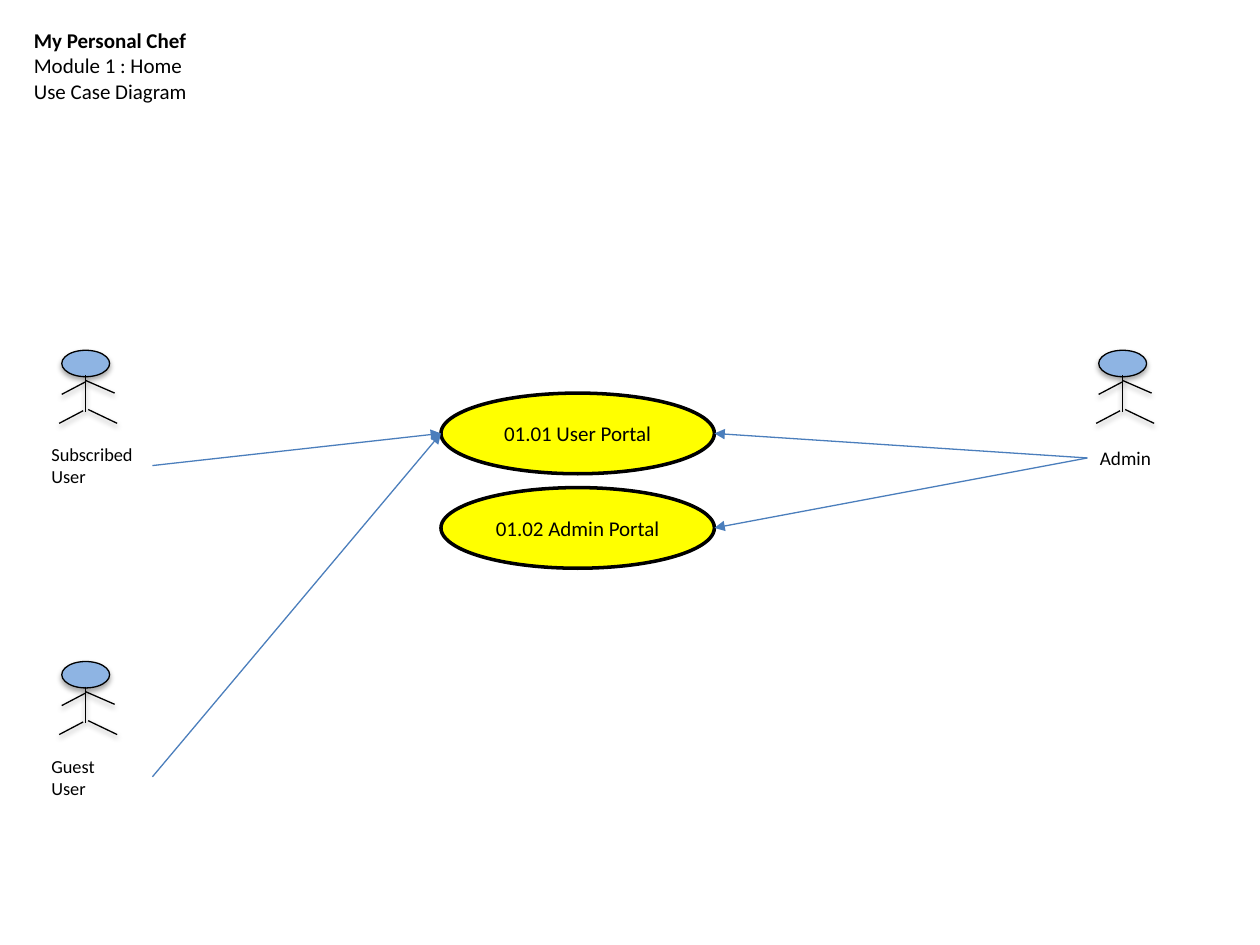
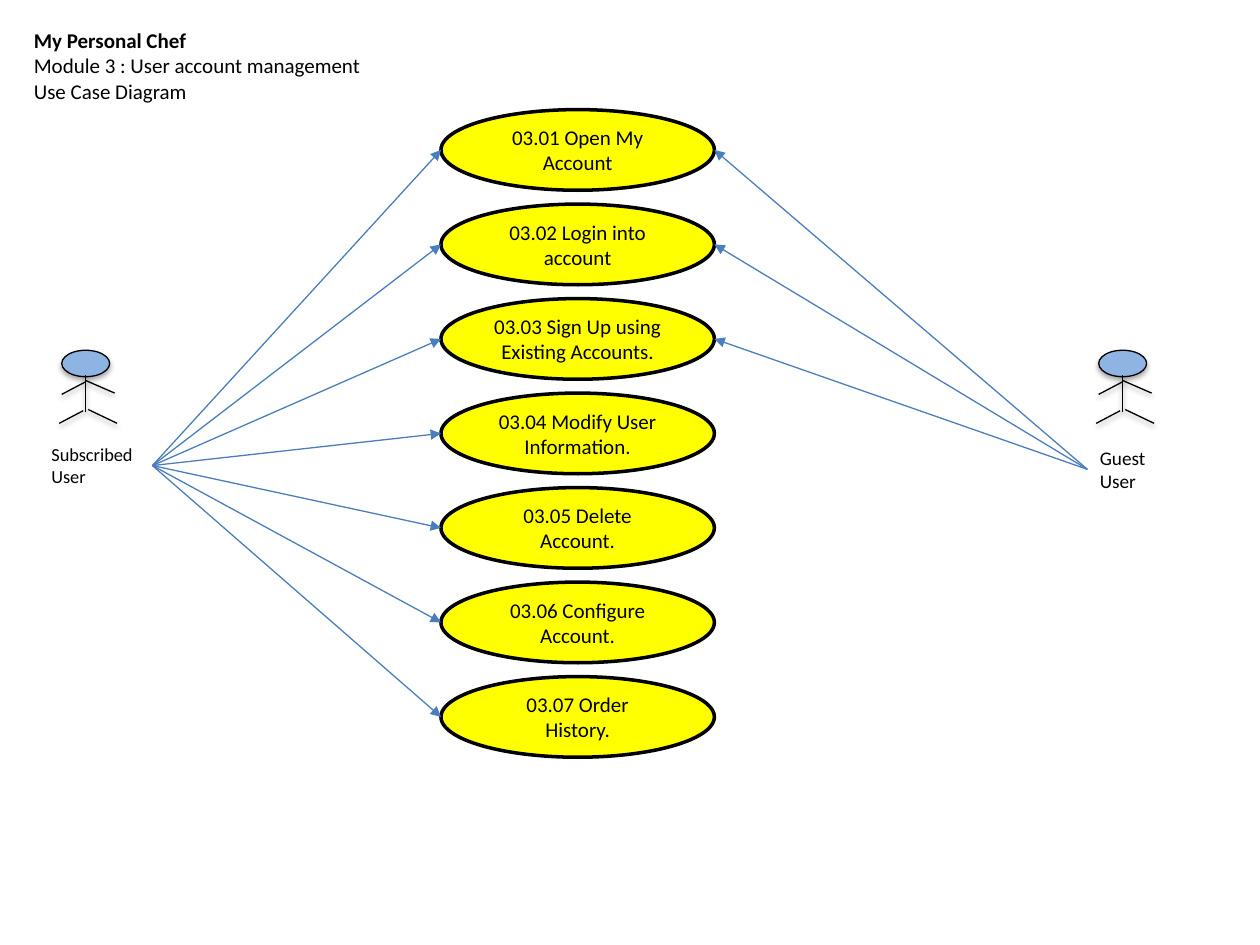
from dataclasses import dataclass

import lxml.etree
import pptx
import pptx.dml.color
import pptx.enum.shapes
import pptx.enum.text
import pptx.oxml.ns
import pptx.shapes.base
import pptx.shapes.connector
import pptx.shapes.group
import pptx.slide
import pptx.text.text
import pptx.util

Inches = pptx.util.Inches
Pt = pptx.util.Pt
qn = pptx.oxml.ns.qn

FONT = "Calibri"
BLACK = "000000"
HEAD_BLUE = "8EB4E3"
CASE_YELLOW = "FFFF00"
ARROW_BLUE = "4B7EBC"

CASE_LEFT, CASE_WIDTH, CASE_HEIGHT = 3.5, 2.17, 0.64
FIRST_CASE_TOP, CASE_PITCH = 0.87, 0.75

HEAD_WIDTH, HEAD_HEIGHT = 0.38, 0.21
HEAD_SHADOW, LIMB_SHADOW = 1.8, 1.6
# Start and end of each limb, measured from the head's top left corner
LIMBS = (
    (0.19, 0.20, 0.19, 0.49),
    (0.19, 0.25, 0.00, 0.35),
    (0.17, 0.48, -0.02, 0.58),
    (0.19, 0.24, 0.42, 0.34),
    (0.21, 0.47, 0.44, 0.58),
)

# Connection sites: text boxes have four, ellipses have eight
BOX_LEFT, BOX_RIGHT = 1, 3
ELLIPSE_LEFT, ELLIPSE_RIGHT = 2, 6


@dataclass(frozen=True)
class ActorSide:
    head_left: float
    label_left: float
    label_drop: float
    label_width: float
    label_size: float
    label_site: int
    case_site: int
    case_edge: float


LEFT = ActorSide(0.49, 0.31, 0.69, 0.9, 10.5, BOX_RIGHT, ELLIPSE_LEFT, CASE_LEFT)
RIGHT = ActorSide(8.72, 8.63, 0.71, 0.68, 11, BOX_LEFT, ELLIPSE_RIGHT,
                  CASE_LEFT + CASE_WIDTH)


@dataclass(frozen=True)
class Actor:
    name: str
    side: ActorSide
    uses: tuple[int, ...]
    label_height: float = 0.45
    head_top: float = 2.78


@dataclass(frozen=True)
class Diagram:
    module: str
    cases: tuple[str, ...]
    actors: tuple[Actor, ...]
    first_row: int = 0


DIAGRAMS = (
    Diagram(
        "Module 1 : Home",
        ("01.01 User Portal", "01.02 Admin Portal"),
        (
            Actor("Subscribed User", LEFT, (0,)),
            Actor("Admin", RIGHT, (0, 1), label_height=0.29),
            Actor("Guest\vUser", LEFT, (0,), head_top=5.25),
        ),
        first_row=3,
    ),
    Diagram(
        "Module 3 : User account management",
        (
            "03.01 Open My Account",
            "03.02 Login into account",
            "03.03 Sign Up using Existing Accounts.",
            "03.04 Modify User Information.",
            "03.05 Delete Account.",
            "03.06 Configure Account.",
            "03.07 Order History.",
        ),
        (
            Actor("Subscribed User", LEFT, tuple(range(7))),
            Actor("Guest User", RIGHT, (0, 1, 2), label_height=0.47),
        ),
    ),
)


def rgb(color: str) -> pptx.dml.color.RGBColor:
    return pptx.dml.color.RGBColor.from_string(color)


def format_text(frame: pptx.text.text.TextFrame, size: float) -> None:
    frame.word_wrap = True
    for paragraph in frame.paragraphs:
        for run in paragraph.runs:
            run.font.name = FONT
            run.font.size = Pt(size)
            run.font.color.rgb = rgb(BLACK)


def set_outline(shape: pptx.shapes.base.BaseShape, color: str, width: float,
                shadow_distance: float = 0) -> None:
    """Set the line, and replace the theme's shadow by a soft one or by none."""
    shape.line.width = Pt(width)
    shape.line.color.rgb = rgb(color)
    effects = lxml.etree.SubElement(shape.element.spPr, qn("a:effectLst"))
    if shadow_distance:
        shadow = lxml.etree.SubElement(
            effects, qn("a:outerShdw"), blurRad=str(Pt(3.1)),
            dist=str(Pt(shadow_distance)), dir="5400000", rotWithShape="0")
        tint = lxml.etree.SubElement(shadow, qn("a:srgbClr"), val=BLACK)
        opacity = "35000" if shadow_distance == HEAD_SHADOW else "38000"
        lxml.etree.SubElement(tint, qn("a:alpha"), val=opacity)


def add_line(parent: pptx.slide.Slide | pptx.shapes.group.GroupShape,
             x1: float, y1: float, x2: float, y2: float, color: str,
             shadow_distance: float = 0) -> pptx.shapes.connector.Connector:
    line = parent.shapes.add_connector(
        pptx.enum.shapes.MSO_CONNECTOR.STRAIGHT,
        Inches(x1), Inches(y1), Inches(x2), Inches(y2))
    set_outline(line, color, 0.75, shadow_distance)
    return line


def add_ellipse(parent: pptx.slide.Slide | pptx.shapes.group.GroupShape,
                left: float, top: float, width: float, height: float,
                fill: str, line_width: float,
                shadow_distance: float = 0) -> pptx.shapes.base.BaseShape:
    ellipse = parent.shapes.add_shape(
        pptx.enum.shapes.MSO_SHAPE.OVAL,
        Inches(left), Inches(top), Inches(width), Inches(height))
    ellipse.fill.solid()
    ellipse.fill.fore_color.rgb = rgb(fill)
    set_outline(ellipse, BLACK, line_width, shadow_distance)
    return ellipse


def add_heading(slide: pptx.slide.Slide, module: str) -> None:
    heading = slide.shapes.add_textbox(
        Inches(0.17), Inches(0.17), Inches(4.08), Inches(0.71)).text_frame
    heading.text = f"My Personal Chef\n{module}\nUse Case Diagram"
    format_text(heading, 12)
    heading.paragraphs[0].runs[0].font.bold = True


def add_case(slide: pptx.slide.Slide, caption: str,
             row: int) -> pptx.shapes.base.BaseShape:
    case = add_ellipse(slide, CASE_LEFT, FIRST_CASE_TOP + row * CASE_PITCH,
                       CASE_WIDTH, CASE_HEIGHT, CASE_YELLOW, 2)
    case.text_frame.text = caption
    case.text_frame.vertical_anchor = pptx.enum.text.MSO_ANCHOR.MIDDLE
    case.text_frame.paragraphs[0].alignment = pptx.enum.text.PP_ALIGN.CENTER
    format_text(case.text_frame, 12)
    return case


def add_actor(slide: pptx.slide.Slide,
              actor: Actor) -> pptx.shapes.base.BaseShape:
    """Draw the grouped stick figure and return its label."""
    side = actor.side
    figure = slide.shapes.add_group_shape()
    add_ellipse(figure, side.head_left, actor.head_top, HEAD_WIDTH, HEAD_HEIGHT,
                HEAD_BLUE, 0.75, HEAD_SHADOW)
    for x1, y1, x2, y2 in LIMBS:
        add_line(figure, side.head_left + x1, actor.head_top + y1,
                 side.head_left + x2, actor.head_top + y2, BLACK, LIMB_SHADOW)
    label = figure.shapes.add_textbox(
        Inches(side.label_left), Inches(actor.head_top + side.label_drop),
        Inches(side.label_width), Inches(actor.label_height))
    label.text_frame.text = actor.name
    format_text(label.text_frame, side.label_size)
    return label


def add_use_arrow(slide: pptx.slide.Slide, label: pptx.shapes.base.BaseShape,
                  case: pptx.shapes.base.BaseShape, side: ActorSide) -> None:
    case_middle = (case.top + case.height / 2) / Inches(1)
    arrow = add_line(slide, side.label_left, case_middle,
                     side.case_edge, case_middle, ARROW_BLUE)
    arrow.begin_connect(label, side.label_site)
    # end_connect knows only four sites, so the ellipse's site is written here
    lxml.etree.SubElement(arrow.element.nvCxnSpPr.cNvCxnSpPr, qn("a:endCxn"),
                          id=str(case.shape_id), idx=str(side.case_site))
    lxml.etree.SubElement(arrow.element.spPr.find(qn("a:ln")),
                          qn("a:tailEnd"), type="triangle")


def add_diagram(deck: pptx.presentation.Presentation, diagram: Diagram) -> None:
    slide = deck.slides.add_slide(deck.slide_layouts[6])
    add_heading(slide, diagram.module)
    cases = [add_case(slide, caption, row)
             for row, caption in enumerate(diagram.cases, diagram.first_row)]
    for actor in diagram.actors:
        label = add_actor(slide, actor)
        for use in actor.uses:
            add_use_arrow(slide, label, cases[use], actor.side)


def main() -> None:
    deck = pptx.Presentation()
    deck.slide_width, deck.slide_height = Inches(10), Inches(7.5)
    for diagram in DIAGRAMS:
        add_diagram(deck, diagram)
    deck.save("out.pptx")


if __name__ == "__main__":
    main()
